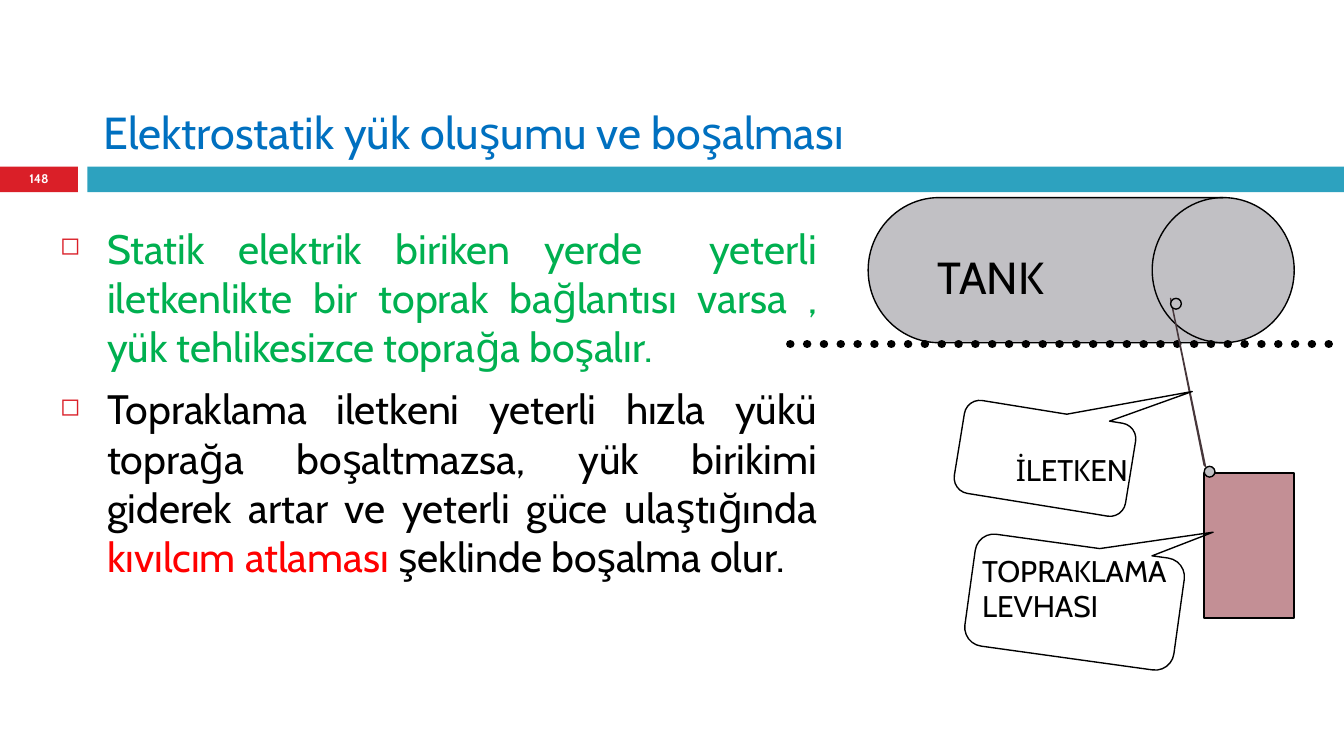
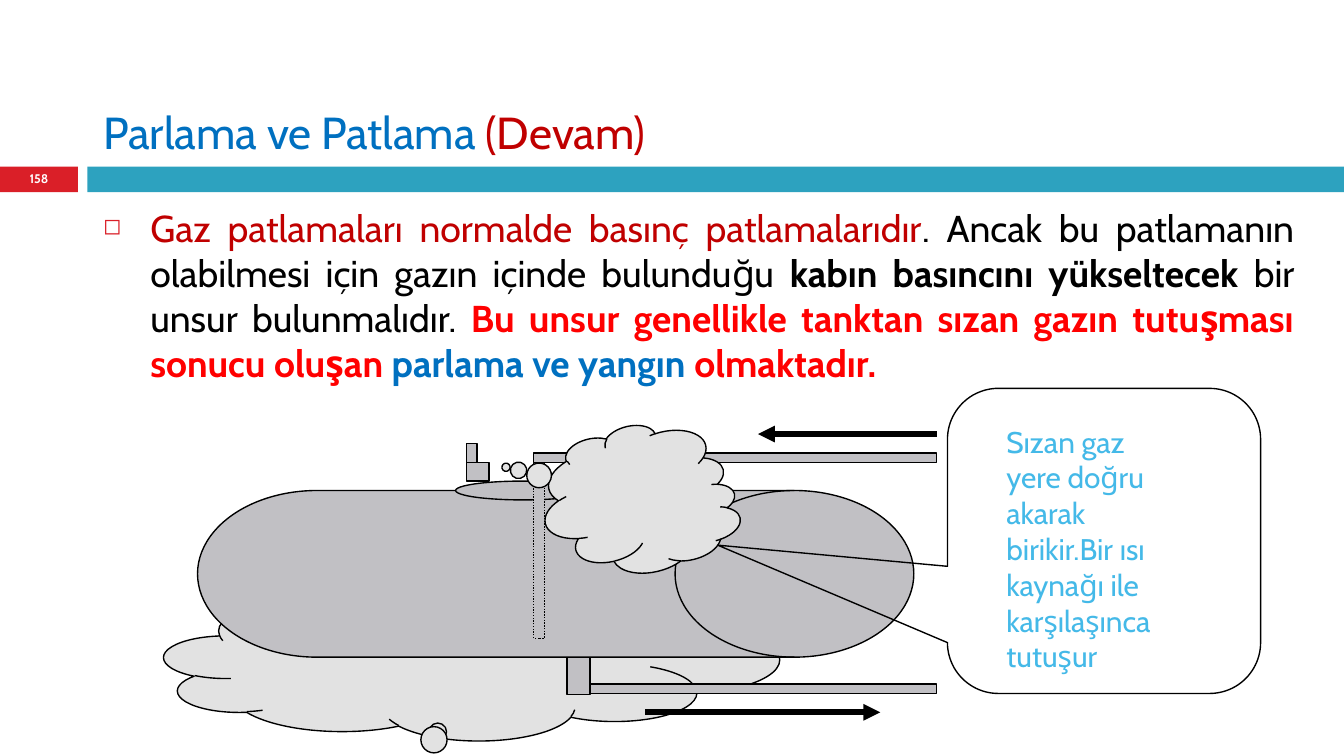
import pptx
import pptx.util
import pptx.dml.color
import pptx.enum.dml
import pptx.enum.shapes
import pptx.enum.text
import pptx.oxml.ns
import lxml.etree

Inches = pptx.util.Inches
Pt = pptx.util.Pt
RGBColor = pptx.dml.color.RGBColor
Geometry = pptx.enum.shapes.MSO_SHAPE
Align = pptx.enum.text.PP_ALIGN
Anchor = pptx.enum.text.MSO_ANCHOR
Dash = pptx.enum.dml.MSO_LINE
qn = pptx.oxml.ns.qn

BLACK = RGBColor(0x00, 0x00, 0x00)
WHITE = RGBColor(0xFF, 0xFF, 0xFF)
BAND_RED = RGBColor(0xDA, 0x1F, 0x28)
BAND_TEAL = RGBColor(0x2D, 0xA2, 0xBF)
BLUE = RGBColor(0x00, 0x70, 0xC0)
GREEN = RGBColor(0x00, 0xB0, 0x50)
RED = RGBColor(0xFF, 0x00, 0x00)
DARK_RED = RGBColor(0xC0, 0x00, 0x00)
SKY = RGBColor(0x44, 0xB9, 0xE8)
METAL = RGBColor(0xC1, 0xC0, 0xC4)
GAS = RGBColor(0xE2, 0xE2, 0xE2)
PLATE = RGBColor(0xC3, 0x8F, 0x95)
WIRE = RGBColor(0x47, 0x37, 0x3B)

FONT = "Cabin"
SLIDE_WIDTH = 10
SLIDE_HEIGHT = SLIDE_WIDTH * 9 / 16
OUTLINE = 0.75
INDENT = 0.35
BAND_TOP, BAND_HEIGHT = 1.24, 0.19


def assign(target, values):
    for name, value in values.items():
        setattr(target, name, value)


class Deck:
    def __init__(self):
        self.presentation = pptx.Presentation()
        assign(self.presentation, {"slide_width": Inches(SLIDE_WIDTH),
                                   "slide_height": Inches(SLIDE_HEIGHT)})
        self.slide = None

    def new_slide(self, number, title):
        self.slide = self.presentation.slides.add_slide(self.presentation.slide_layouts[6])
        self.shape(Geometry.RECTANGLE, (0, BAND_TOP, 0.58, BAND_HEIGHT), BAND_RED, outline=None)
        self.shape(Geometry.RECTANGLE, (0.65, BAND_TOP, 9.35, BAND_HEIGHT), BAND_TEAL, outline=None)
        self.text((0.67, 0.13, 9.22, 1.1), [title], 24, anchor=Anchor.BOTTOM)
        self.text((0, 1.23, 0.58, 0.2), [[(number, WHITE, True)]], 6.7,
                  align=Align.CENTER, anchor=Anchor.MIDDLE)

    def text(self, box, paragraphs, size, align=Align.LEFT, anchor=Anchor.TOP, bullets=False):
        frame = self.slide.shapes.add_textbox(*map(Inches, box)).text_frame
        assign(frame, {"word_wrap": True, "vertical_anchor": anchor})
        for index, runs in enumerate(paragraphs):
            paragraph = frame.add_paragraph() if index else frame.paragraphs[0]
            if bullets:
                self.bullet(paragraph)
            assign(paragraph, {"alignment": align, "space_before": Pt(7 if index else 0)})
            for words, color, bold in runs:
                run = paragraph.add_run()
                run.text = words
                assign(run.font, {"name": FONT, "size": Pt(size), "bold": bold})
                run.font.color.rgb = color

    def bullet(self, paragraph):
        properties = paragraph._p.get_or_add_pPr()
        properties.set("marL", str(Inches(INDENT)))
        properties.set("indent", str(-Inches(INDENT)))
        color = lxml.etree.SubElement(properties, qn("a:buClr"))
        lxml.etree.SubElement(color, qn("a:srgbClr"), val=str(BAND_RED))
        lxml.etree.SubElement(properties, qn("a:buSzPct"), val="60000")
        lxml.etree.SubElement(properties, qn("a:buChar"), char="◻")

    def paint(self, shape, fill, outline):
        shape.shadow.inherit = False
        if fill is None:
            shape.fill.background()
        else:
            shape.fill.solid()
            shape.fill.fore_color.rgb = fill
        if outline is None:
            shape.line.fill.background()
        else:
            shape.line.color.rgb = outline
            shape.line.width = Pt(OUTLINE)

    def shape(self, geometry, box, fill=None, outline=BLACK, adjust=(), rotation=0, dash=None):
        shape = self.slide.shapes.add_shape(geometry, *map(Inches, box))
        self.paint(shape, fill, outline)
        shape.rotation = rotation
        for index, value in enumerate(adjust):
            shape.adjustments[index] = value
        if dash is not None:
            shape.line.dash_style = dash

    def outline(self, points, fill, color):
        start, *rest = [(Inches(x), Inches(y)) for x, y in points]
        builder = self.slide.shapes.build_freeform(*start)
        builder.add_line_segments(rest, close=True)
        self.paint(builder.convert_to_shape(), fill, color)

    def line(self, start, end, width, dotted=False, arrow=False):
        line = self.slide.shapes.add_connector(
            pptx.enum.shapes.MSO_CONNECTOR.STRAIGHT, *map(Inches, start + end))
        line.line.color.rgb = BLACK
        line.line.width = Pt(width)
        properties = line.element.spPr
        stroke = properties.find(qn("a:ln"))
        if dotted:
            line.line.dash_style = Dash.ROUND_DOT
            stroke.set("cap", "rnd")
        if arrow:
            lxml.etree.SubElement(stroke, qn("a:tailEnd"), type="triangle")
        lxml.etree.SubElement(properties, qn("a:effectLst"))


def add_grounding(deck):
    deck.new_slide("148", [("Elektrostatik yük oluşumu ve boşalması", BLUE, False)])
    deck.text((0.35, 1.61, 5.83, 4.01), [
        [("Statik elektrik biriken yerde  yeterli iletkenlikte bir toprak bağlantısı varsa , "
          "yük tehlikesizce toprağa boşalır.", GREEN, False)],
        [("Topraklama iletkeni yeterli hızla yükü toprağa boşaltmazsa, yük birikimi giderek "
          "artar ve yeterli güce ulaştığında ", BLACK, False),
         ("kıvılcım atlaması ", RED, False),
         ("şeklinde boşalma olur.", BLACK, False)],
    ], 22, align=Align.JUSTIFY, bullets=True)

    deck.shape(Geometry.FLOWCHART_DIRECT_ACCESS_STORAGE, (6.46, 1.47, 3.17, 1.08), METAL)
    deck.line((5.88, 2.56), (9.96, 2.56), 4.5, dotted=True)
    deck.shape(Geometry.RECTANGLE, (8.96, 3.52, 0.67, 1.08), PLATE)
    deck.outline([(8.71, 2.22), (8.96, 3.46), (8.97, 3.47)], WIRE, WIRE)
    deck.text((6.88, 1.81, 1.08, 0.5), [[("TANK", BLACK, False)]], 24)

    callouts = [
        ((7.21, 4.06, 1.57, 0.84), 187.9, (-0.605, 0.782, 0.167),
         "TOPRAKLAMA LEVHASI", (7.21, 4.06, 1.58, 0.64)),
        ((7.13, 3.06, 1.29, 0.7), 189.2, (-0.777, 0.952, 0.167),
         "İLETKEN", (7.46, 3.31, 1.08, 0.37)),
    ]
    for bubble, rotation, adjust, label, label_box in callouts:
        deck.shape(Geometry.ROUNDED_RECTANGULAR_CALLOUT, bubble, adjust=adjust, rotation=rotation)
        deck.text(label_box, [[(label, BLACK, False)]], 16)
    for left, top in [(8.71, 2.22), (8.96, 3.47)]:
        deck.shape(Geometry.OVAL, (left, top, 0.08, 0.08), METAL)


def add_explosion(deck):
    deck.new_slide("158", [("Parlama ve Patlama ", BLUE, False), ("(Devam)", DARK_RED, False)])
    deck.text((0.67, 1.48, 9.06, 4.01), [[
        ("Gaz patlamaları normalde basınç patlamalarıdır", DARK_RED, False),
        (". Ancak bu patlamanın olabilmesi için gazın içinde bulunduğu ", BLACK, False),
        ("kabın basıncını yükseltecek ", BLACK, True),
        ("bir unsur bulunmalıdır. ", BLACK, False),
        ("Bu unsur genellikle tanktan sızan gazın tutuşması sonucu oluşan ", RED, True),
        ("parlama ve yangın ", BLUE, True),
        ("olmaktadır.", RED, True),
    ]], 20, align=Align.JUSTIFY, bullets=True)

    deck.shape(Geometry.CLOUD_CALLOUT, (1.22, 4.34, 4.58, 1.17), GAS, adjust=(-0.055, 0.444))
    deck.shape(Geometry.FLOWCHART_DIRECT_ACCESS_STORAGE, (1.47, 3.65, 5.33, 1.24), METAL)
    deck.shape(Geometry.OVAL, (3.39, 3.58, 1, 0.14), METAL)
    deck.shape(Geometry.RECTANGLE, (3.97, 3.44, 0.08, 1.31), METAL, dash=Dash.ROUND_DOT)
    pipes = [
        (3.97, 3.37, 3, 0.07),
        (3.47, 3.44, 0.17, 0.14),
        (3.47, 3.3, 0.08, 0.14),
        (4.22, 4.89, 0.17, 0.28),
        (4.39, 5.09, 2.58, 0.07),
    ]
    for pipe in pipes:
        deck.shape(Geometry.RECTANGLE, pipe, METAL)
    deck.shape(Geometry.CLOUD_CALLOUT, (4.2, 3.01, 1.1, 1.42), GAS,
               adjust=(-0.421, 0.636), rotation=76.7)
    for start, end in [((6.97, 3.23), (5.64, 3.23)), ((4.8, 5.3), (6.55, 5.3))]:
        deck.line(start, end, 3, arrow=True)
    deck.shape(Geometry.ROUNDED_RECTANGULAR_CALLOUT, (7.05, 2.89, 2.33, 2.27),
               adjust=(-1.234, 0.014, 0.167))
    deck.text((7.39, 3.1, 1.42, 1.63), [[
        ("Sızan gaz yere doğru akarak birikir.Bir ısı kaynağı ile karşılaşınca tutuşur",
         SKY, False)]], 16)


def main():
    deck = Deck()
    add_grounding(deck)
    add_explosion(deck)
    deck.presentation.save("out.pptx")


if __name__ == "__main__":
    main()
